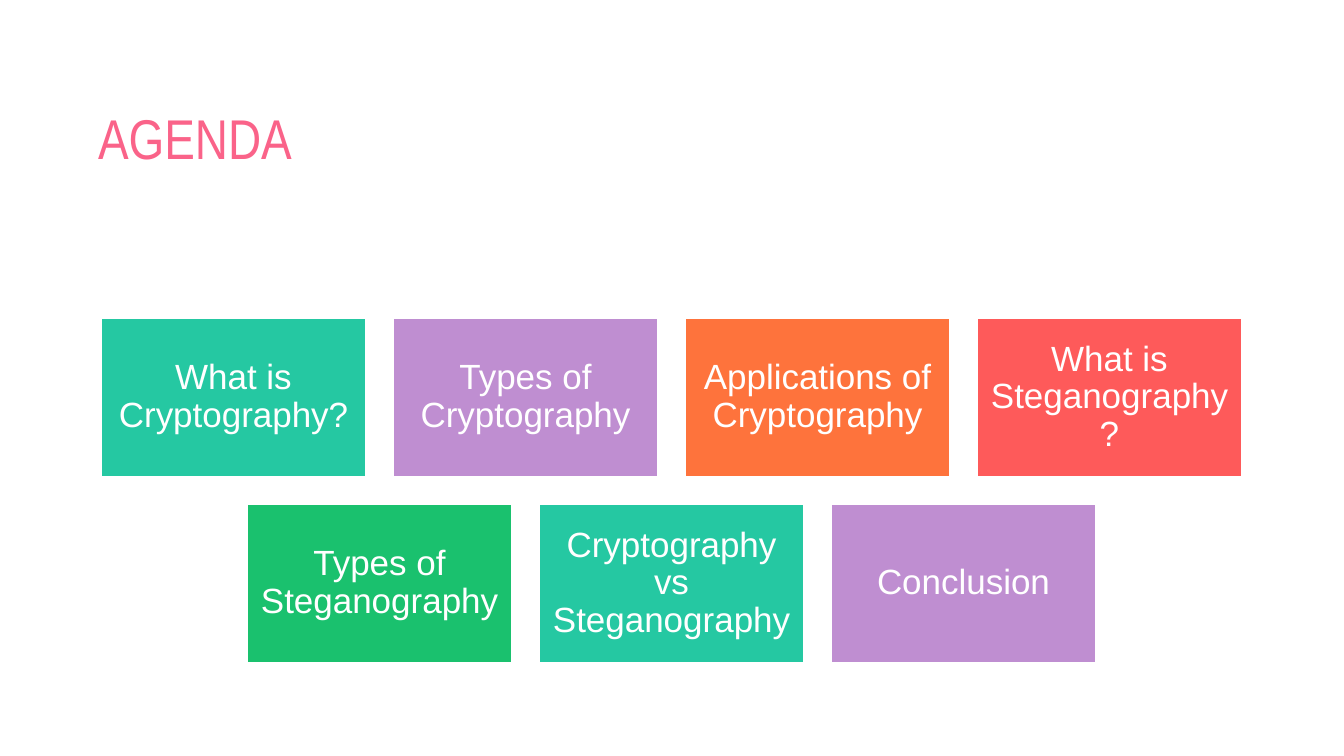
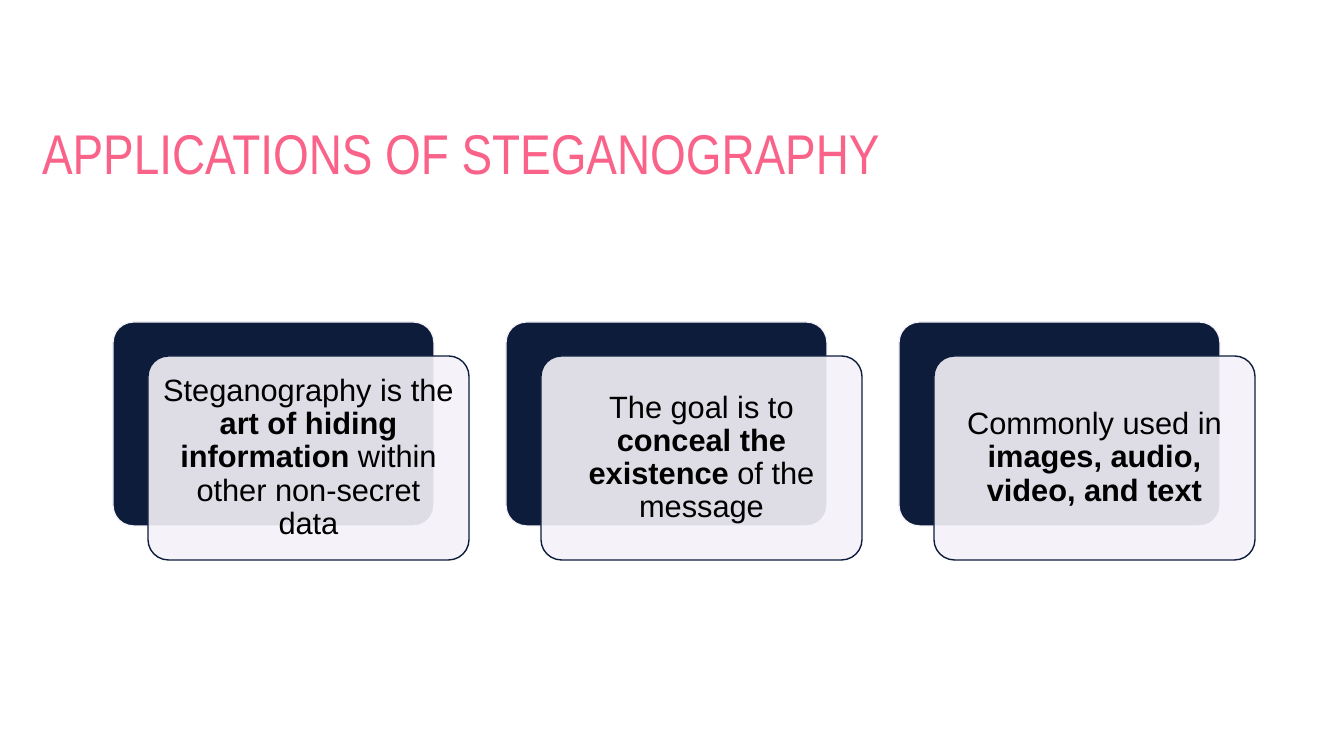
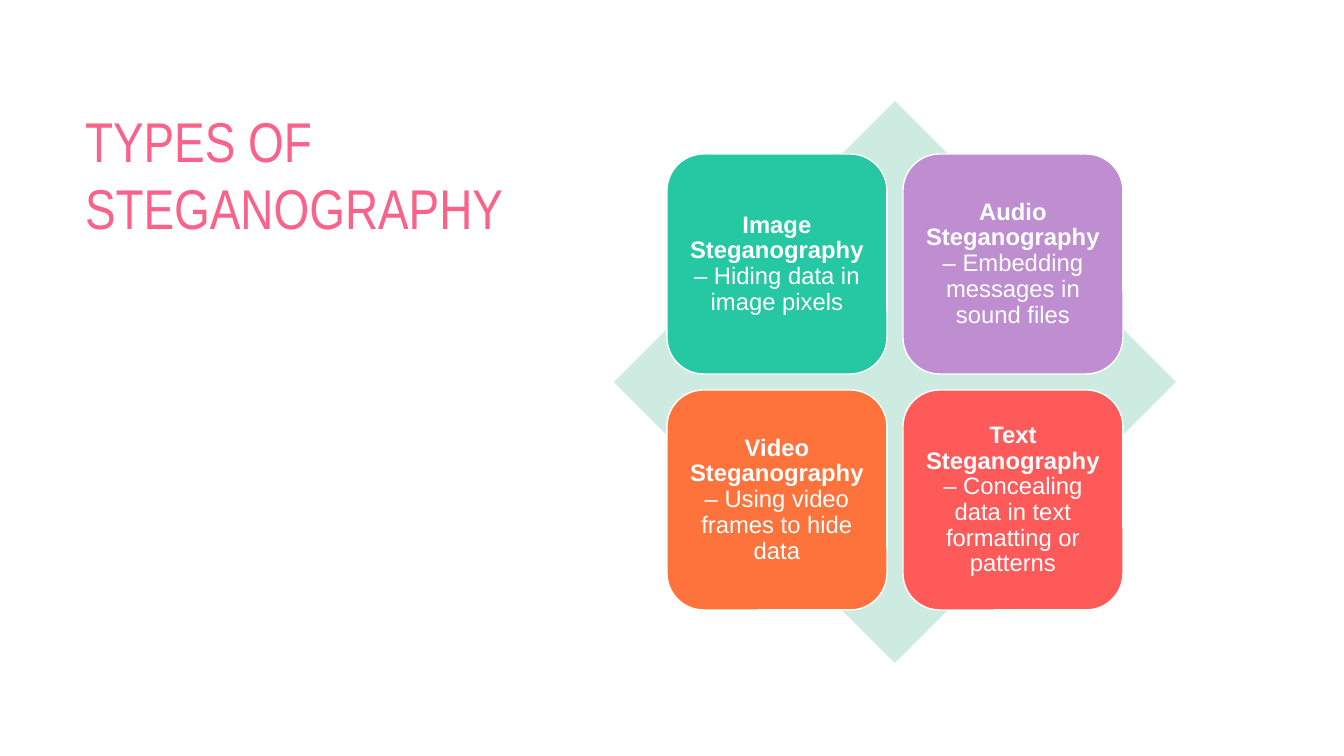
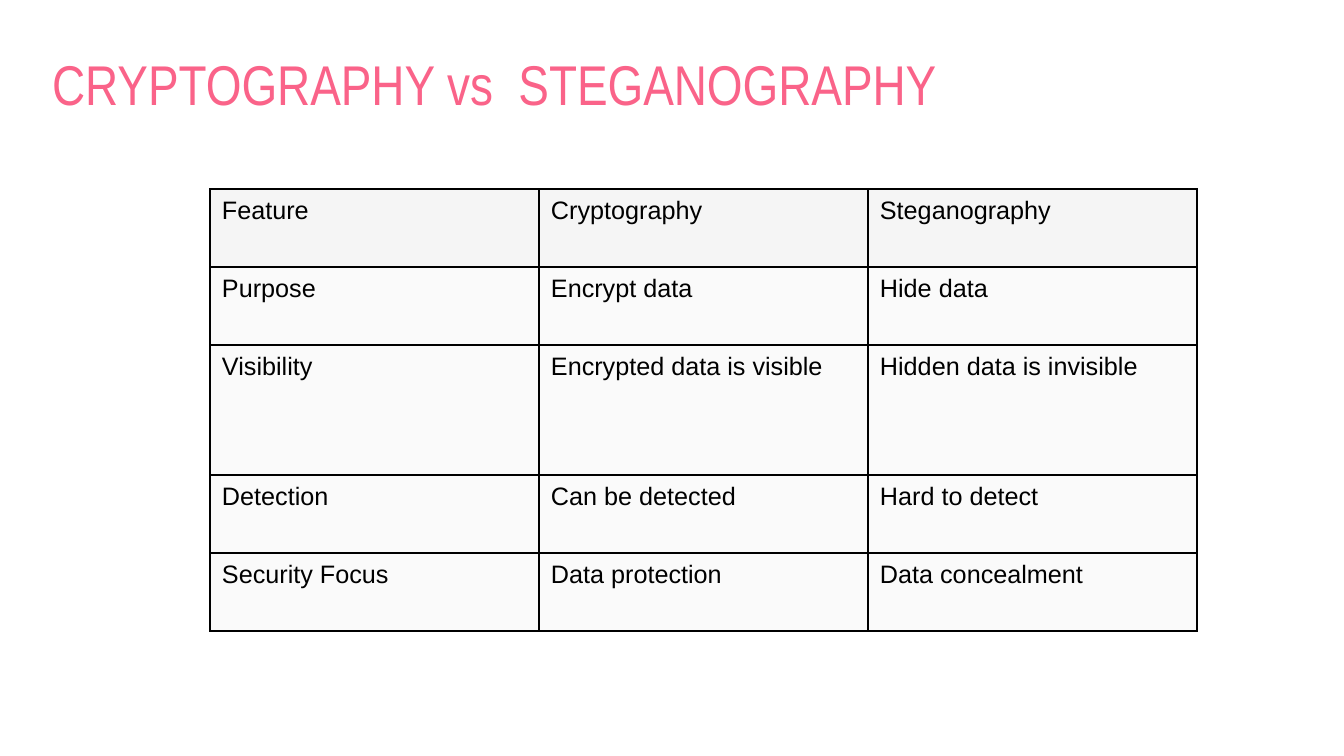
"""Build four slides about cryptography and steganography."""
from lxml.etree import SubElement
from pptx import Presentation
from pptx.dml.color import RGBColor
from pptx.enum.shapes import MSO_SHAPE as Shape
from pptx.enum.text import MSO_ANCHOR as Anchor, MSO_AUTO_SIZE as AutoSize, PP_ALIGN as Align
from pptx.oxml.ns import qn
from pptx.util import Pt

PX = 914400 / 100.8
COLOURS = {
    name: RGBColor.from_string(value)
    for name, value in {
        "pink": "FA6389", "teal": "25C8A2", "purple": "BF8ED1", "orange": "FE733C",
        "red": "FE5A5A", "green": "1AC16E", "mint": "CDEBE0", "navy": "0D1C3B",
        "lavender": "F5F2F9", "white": "FFFFFF", "black": "000000",
        "header": "F5F5F5", "body": "FAFAFA",
    }.items()
}


def add_page(title, *bounds):
    """Add a slide with a pink title at the given left, top, width and height."""
    page = deck.slides.add_slide(deck.slide_layouts[5])
    box = page.shapes.title
    box.left, box.top, box.width, box.height = [round(n * PX) for n in bounds]
    frame = box.text_frame
    frame.text = title
    frame.word_wrap = True
    frame.auto_size = AutoSize.NONE
    frame.vertical_anchor = Anchor.TOP
    para = frame.paragraphs[0]
    para.alignment = Align.LEFT
    font = para.runs[0].font
    font.name, font.size, font.color.rgb = "Arial Narrow", Pt(40), COLOURS["pink"]
    return page


def add_card(page, kind, bounds, fill, line=None, text="", size=25, colour="white", pad=10):
    """Add a filled shape; text between asterisks is bold."""
    card = page.shapes.add_shape(kind, *[round(n * PX) for n in bounds])
    card.shadow.inherit = False
    card.fill.solid()
    card.fill.fore_color.rgb = COLOURS[fill]
    if line:
        card.line.color.rgb = COLOURS[line]
        card.line.width = Pt(1)
    else:
        card.line.fill.background()
    if text:
        frame = card.text_frame
        frame.word_wrap = True
        frame.vertical_anchor = Anchor.MIDDLE
        frame.margin_left = frame.margin_right = round(pad * PX)
        frame.margin_top = frame.margin_bottom = round(pad * PX)
        para = frame.paragraphs[0]
        para.alignment = Align.CENTER
        para.line_spacing = 0.9
        for index, part in enumerate(text.split("*")):
            if part:
                span = para.add_run()
                span.text = part
                font = span.font
                font.name, font.size, font.bold = "Arial", Pt(size), index % 2 == 1
                font.color.rgb = COLOURS[colour]
    return card


deck = Presentation()
deck.slide_width, deck.slide_height = round(1344 * PX), round(756 * PX)

page = add_page("AGENDA", 88, 98, 1142, 126)
agenda_rows = [
    [("What is Cryptography?", "teal"), ("Types of Cryptography", "purple"),
     ("Applications of Cryptography", "orange"), ("What is Steganography?", "red")],
    [("Types of Steganography", "green"), ("Cryptography vs Steganography", "teal"),
     ("Conclusion", "purple")],
]
for row, topics in enumerate(agenda_rows):
    left = 101 + (4 - len(topics)) * 146
    for column, (topic, fill) in enumerate(topics):
        bounds = (left + column * 292, 318 + row * 186, 265, 159)
        add_card(page, Shape.RECTANGLE, bounds, fill, "white", topic)

page = add_page("APPLICATIONS OF STEGANOGRAPHY", 32, 113, 1142, 126)
applications = [
    "Steganography is the *art of hiding information* within other non-secret data",
    "The goal is to *conceal the existence* of the message",
    "Commonly used in *images, audio, video, and text*",
]
for column, text in enumerate(applications):
    left = 113 + column * 393
    back = add_card(page, Shape.ROUNDED_RECTANGLE, (left, 322, 321, 204), "navy", "lavender")
    front = add_card(page, Shape.ROUNDED_RECTANGLE, (left + 35, 356, 321, 204),
                     "lavender", "navy", text, 22, "black", 9)
    back.adjustments[0] = front.adjustments[0] = 0.1
    colour = front.element.spPr.find(qn("a:solidFill"))[0]
    SubElement(colour, qn("a:alpha"), val="90000")

page = add_page("TYPES OF STEGANOGRAPHY", 75, 101, 487, 459)
add_card(page, Shape.DIAMOND, (614, 101, 562, 562), "mint")
kinds = [
    ("*Image Steganography* – Hiding data in image pixels", "teal"),
    ("*Audio Steganography* – Embedding messages in sound files", "purple"),
    ("*Video Steganography* – Using video frames to hide data", "orange"),
    ("*Text Steganography* – Concealing data in text formatting or patterns", "red"),
]
for index, (text, fill) in enumerate(kinds):
    row, column = divmod(index, 2)
    bounds = (667 + column * 236, 154 + row * 236, 220, 220)
    add_card(page, Shape.ROUNDED_RECTANGLE, bounds, fill, "white", text, 17, pad=7)

page = add_page("CRYPTOGRAPHY vs  STEGANOGRAPHY", 42, 44, 916, 78)
comparison = [
    ("Feature", "Cryptography", "Steganography"),
    ("Purpose", "Encrypt data", "Hide data"),
    ("Visibility", "Encrypted data is visible", "Hidden data is invisible"),
    ("Detection", "Can be detected", "Hard to detect"),
    ("Security Focus", "Data protection", "Data concealment"),
]
heights = [78, 78, 130, 78, 78]
bounds = (210, 189, 3 * 329, sum(heights))
table = page.shapes.add_table(5, 3, *[round(n * PX) for n in bounds]).table
table.first_row = table.horz_banding = False
for column in table.columns:
    column.width = round(329 * PX)
for row, texts in enumerate(comparison):
    table.rows[row].height = round(heights[row] * PX)
    for column, text in enumerate(texts):
        cell = table.cell(row, column)
        cell.text = text
        cell.margin_left, cell.margin_right = round(12 * PX), round(8 * PX)
        cell.margin_top, cell.margin_bottom = round(8 * PX), round(7 * PX)
        font = cell.text_frame.paragraphs[0].runs[0].font
        font.name, font.size, font.color.rgb = "Arial", Pt(18), COLOURS["black"]
        properties = cell._tc.get_or_add_tcPr()
        for side in ("a:lnL", "a:lnR", "a:lnT", "a:lnB"):
            border = SubElement(properties, qn(side), w=str(Pt(1)))
            paint = SubElement(border, qn("a:solidFill"))
            SubElement(paint, qn("a:srgbClr"), val=str(COLOURS["black"]))
        cell.fill.solid()
        cell.fill.fore_color.rgb = COLOURS["body" if row else "header"]

deck.save("out.pptx")
